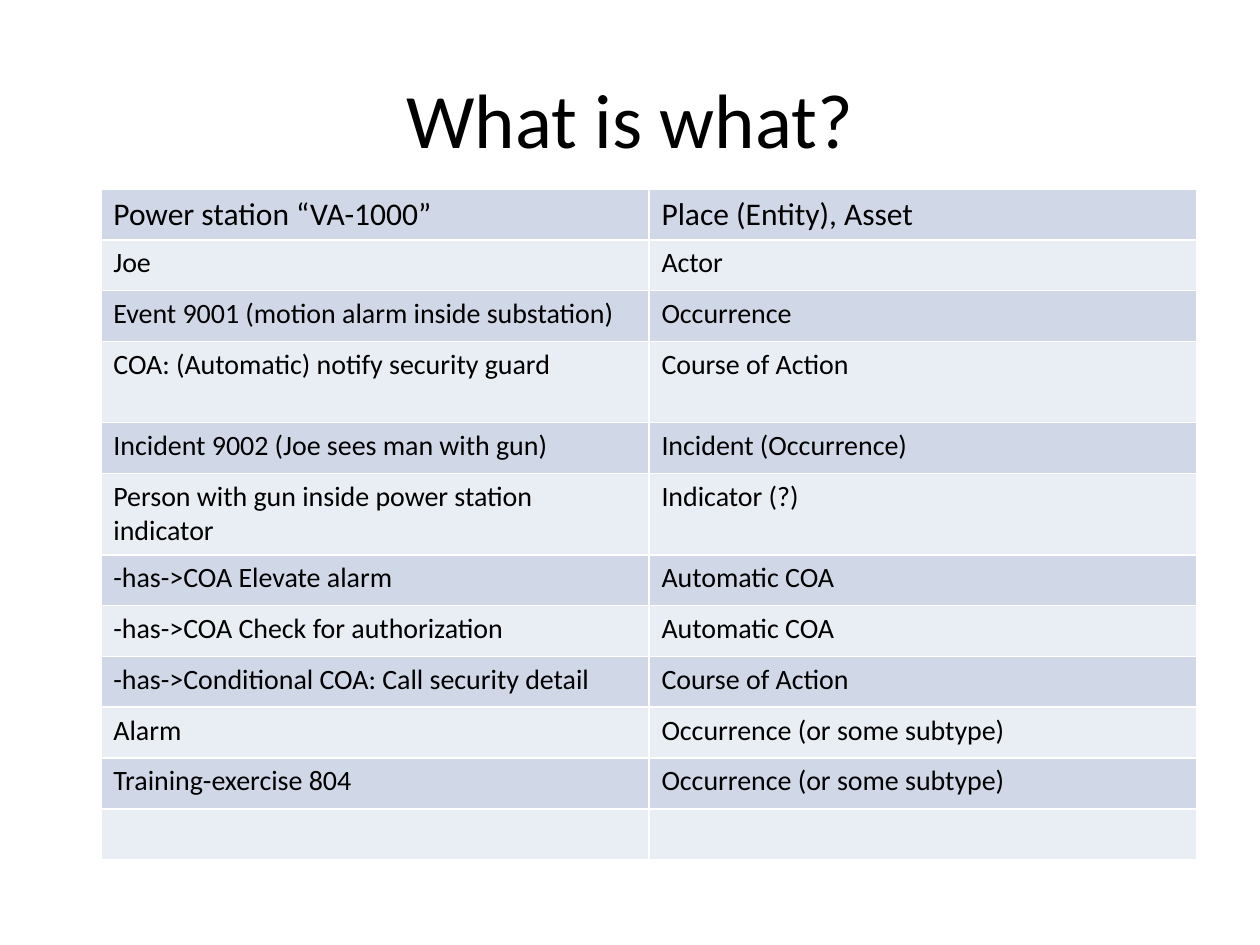
from pptx import Presentation
from pptx.dml.color import RGBColor as Rgb
from pptx.enum.text import MSO_ANCHOR as Anchor, PP_ALIGN as Align
from pptx.oxml import parse_xml
from pptx.oxml.ns import nsdecls
from pptx.util import Inches, Pt

HUES = {"ink": "000000", "dark": "D0D8E8", "light": "E9EDF4", "rule": "FFFFFF"}
TITLE = "What is what?"
ROWS = [
    ("Power station “VA-1000”", "Place (Entity), Asset"),
    ("Joe", "Actor"),
    ("Event 9001 (motion alarm inside substation)", "Occurrence"),
    ("COA: (Automatic) notify security guard", "Course of Action"),
    ("Incident 9002 (Joe sees man with gun)", "Incident (Occurrence)"),
    ("Person with gun inside power station indicator", "Indicator (?)"),
    ("-has->COA Elevate alarm", "Automatic COA"),
    ("-has->COA Check for authorization", "Automatic COA"),
    ("-has->Conditional COA: Call security detail", "Course of Action"),
    ("Alarm", "Occurrence (or some subtype)"),
    ("Training-exercise 804", "Occurrence (or some subtype)"),
    ("", ""),
]
UNITS = [8 if row in (3, 5) else 5 for row in range(len(ROWS))]


class Deck:
    """Holds the style and the current slide; places take shares of its size."""

    def __init__(self, face="Calibri"):
        self.face = face
        self.pres = Presentation()
        self.pres.slide_width, self.pres.slide_height = Inches(10), Inches(7.5)
        self.slide = self.pres.slides.add_slide(self.pres.slide_layouts[6])

    def place(self, left, top, wide, high):
        across, down = self.pres.slide_width, self.pres.slide_height
        return [int(n) for n in (left * across, top * down, wide * across, high * down)]

    def label(self, frame, text, size, align=Align.LEFT):
        para = frame.paragraphs[0]
        para.alignment = align
        if text:
            para.add_run().text = text
        for key, value in {"name": self.face, "size": Pt(size), "bold": False}.items():
            setattr(para.font, key, value)
        para.font.color.rgb = Rgb.from_string(HUES["ink"])

    def title(self, text, box):
        frame = self.slide.shapes.add_textbox(*self.place(*box)).text_frame
        for key, value in {"word_wrap": True, "vertical_anchor": Anchor.MIDDLE}.items():
            setattr(frame, key, value)
        self.label(frame, text, 44, Align.CENTER)

    def edge(self, cell):
        props = cell._tc.get_or_add_tcPr()
        for at, side in enumerate(("lnL", "lnR", "lnT", "lnB")):
            props.insert(at, parse_xml(
                f'<a:{side} {nsdecls("a")} w="{Pt(1)}"><a:solidFill>'
                f'<a:srgbClr val="{HUES["rule"]}"/></a:solidFill></a:{side}>'))

    def table(self, rows, units, box):
        spot = self.place(*box)
        grid = self.slide.shapes.add_table(len(rows), len(rows[0]), *spot).table
        for key in ("first_row", "horz_banding"):
            setattr(grid, key, False)
        for at, row in enumerate(rows):
            grid.rows[at].height = spot[3] * units[at] // sum(units)
            for col, text in enumerate(row):
                cell = grid.cell(at, col)
                cell.fill.solid()
                cell.fill.fore_color.rgb = Rgb.from_string(HUES["light" if at % 2 else "dark"])
                self.edge(cell)
                self.label(cell.text_frame, text, 16 if at else 18)


def main():
    deck = Deck()
    deck.title(TITLE, (0.05, 0.04, 0.9, 0.17))
    deck.table(ROWS, UNITS, (0.08, 0.2, 0.87, 0.71))
    deck.pres.save("out.pptx")


if __name__ == "__main__":
    main()
